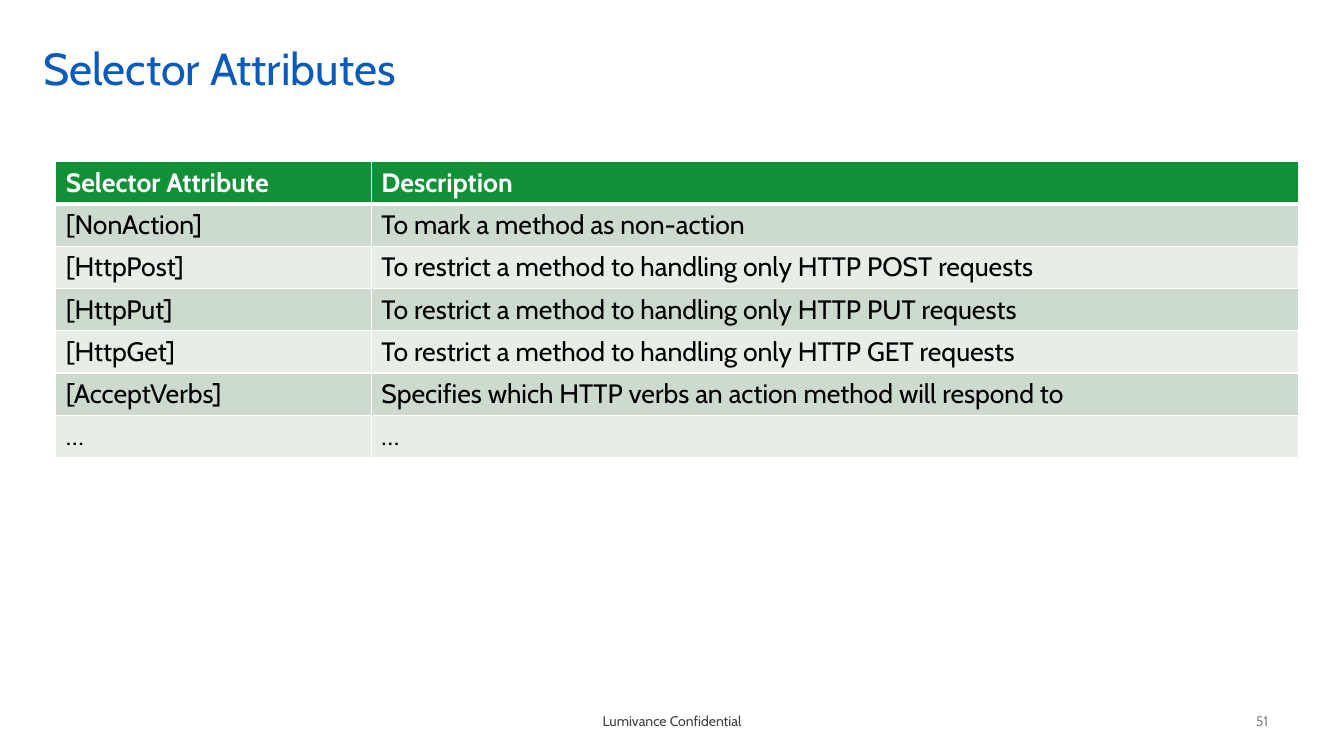
"""Build the Selector Attributes slide with its attribute table."""
import pptx
import pptx.util
import pptx.dml.color
import pptx.enum.text
import pptx.oxml
import pptx.oxml.ns

Pt = pptx.util.Pt
RGBColor = pptx.dml.color.RGBColor
ALIGN = pptx.enum.text.PP_ALIGN
MIDDLE = pptx.enum.text.MSO_ANCHOR.MIDDLE

WHITE = RGBColor(0xFF, 0xFF, 0xFF)
BLACK = RGBColor(0x00, 0x00, 0x00)
BLUE = RGBColor(0x0A, 0x5B, 0xBA)
GREEN = RGBColor(0x12, 0x90, 0x38)
DARK_BAND = RGBColor(0xCC, 0xDB, 0xCE)
LIGHT_BAND = RGBColor(0xE7, 0xEE, 0xE8)
DARK_GREY = RGBColor(0x3F, 0x3F, 0x3F)
GREY = RGBColor(0x89, 0x89, 0x89)
FONT = "Cabin"

ROWS = [
    ("Selector Attribute", "Description"),
    ("[NonAction]", "To mark a method as non-action"),
    ("[HttpPost]", "To restrict a method to handling only HTTP POST requests"),
    ("[HttpPut]", "To restrict a method to handling only HTTP PUT requests"),
    ("[HttpGet]", "To restrict a method to handling only HTTP GET requests"),
    ("[AcceptVerbs]", "Specifies which HTTP verbs an action method will respond to"),
    ("…", "…"),
]
COLUMN_WIDTHS = (225.4, 662.4)
ROW_HEIGHT = 30.2


def add_run(paragraph, text, size, color, bold=False):
    run = paragraph.add_run()
    run.text = text
    run.font.name = FONT
    run.font.size = Pt(size)
    run.font.bold = bold
    run.font.color.rgb = color


def add_border(cell, side, width):
    cell._tc.get_or_add_tcPr().append(pptx.oxml.parse_xml(
        f'<a:{side} {pptx.oxml.ns.nsdecls("a")} w="{Pt(width)}"><a:solidFill>'
        f'<a:srgbClr val="{WHITE}"/></a:solidFill></a:{side}>'))


deck = pptx.Presentation()
deck.slide_width = Pt(960)
deck.slide_height = Pt(540)
slide = deck.slides.add_slide(deck.slide_layouts[6])

LABELS = [
    ("Lumivance Confidential", (368, 500.4, 224, 28.8), 10, DARK_GREY, ALIGN.CENTER, 14.4, 1),
    ("Selector Attributes", (24, 24, 888, 54), 32, BLUE, ALIGN.LEFT, 7.2, 0.9),
    ("51", (697, 500.4, 216, 28.8), 10, GREY, ALIGN.RIGHT, 7.2, 1),
]
for text, place, size, color, align, inset, spacing in LABELS:
    frame = slide.shapes.add_textbox(*map(Pt, place)).text_frame
    frame.word_wrap = True
    frame.vertical_anchor = MIDDLE
    frame.margin_left = frame.margin_right = Pt(inset)
    paragraph = frame.paragraphs[0]
    paragraph.alignment = align
    paragraph.line_spacing = spacing
    add_run(paragraph, text, size, color)

attributes = slide.shapes.add_table(
    len(ROWS), len(COLUMN_WIDTHS), Pt(39.9), Pt(115.5),
    Pt(sum(COLUMN_WIDTHS)), Pt(ROW_HEIGHT * len(ROWS))).table
attributes.horz_banding = False
for column, width in zip(attributes.columns, COLUMN_WIDTHS):
    column.width = Pt(width)

for row_index, texts in enumerate(ROWS):
    attributes.rows[row_index].height = Pt(ROW_HEIGHT)
    header = row_index == 0
    band = DARK_BAND if row_index % 2 else LIGHT_BAND
    for column_index, text in enumerate(texts):
        cell = attributes.cell(row_index, column_index)
        add_border(cell, "lnL", 1)
        add_border(cell, "lnR", 1)
        add_border(cell, "lnT", 3 if row_index == 1 else 1)
        add_border(cell, "lnB", 3 if header else 1)
        cell.fill.solid()
        cell.fill.fore_color.rgb = GREEN if header else band
        add_run(cell.text_frame.paragraphs[0], text, 19, WHITE if header else BLACK, header)

deck.save("out.pptx")
